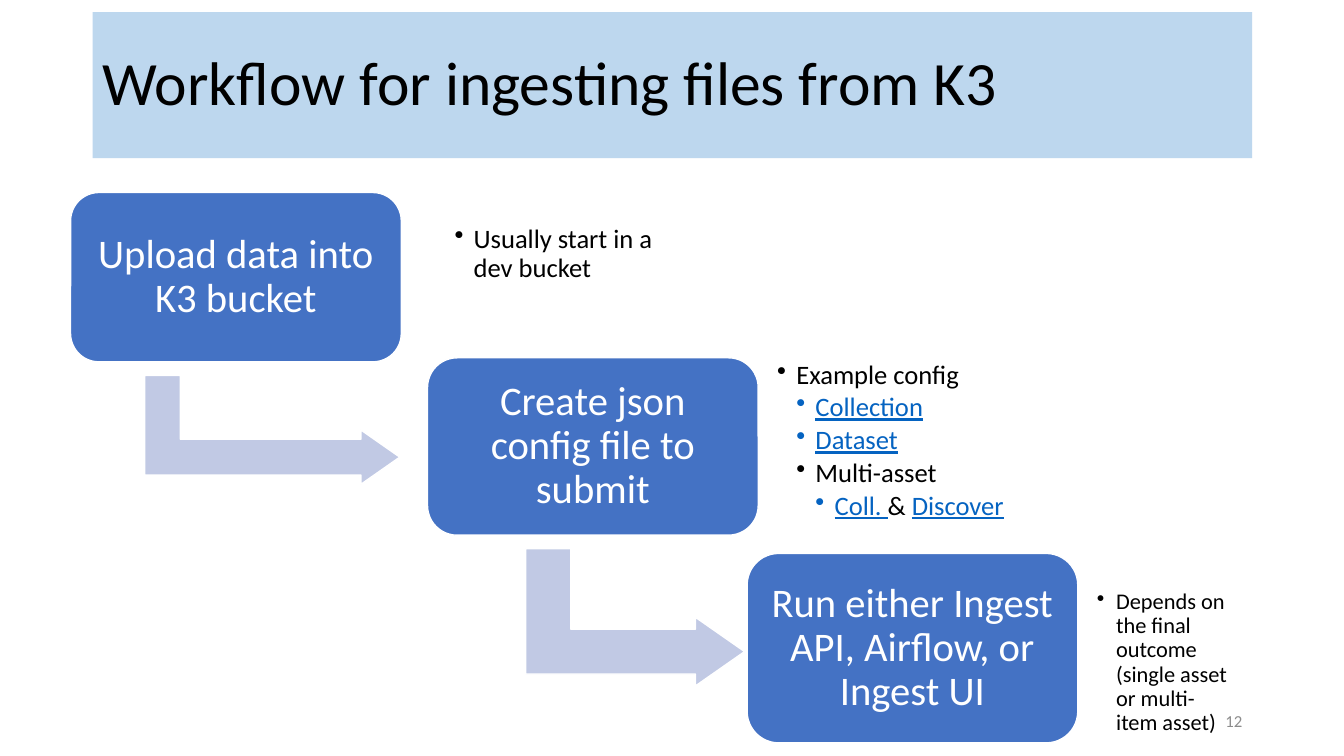
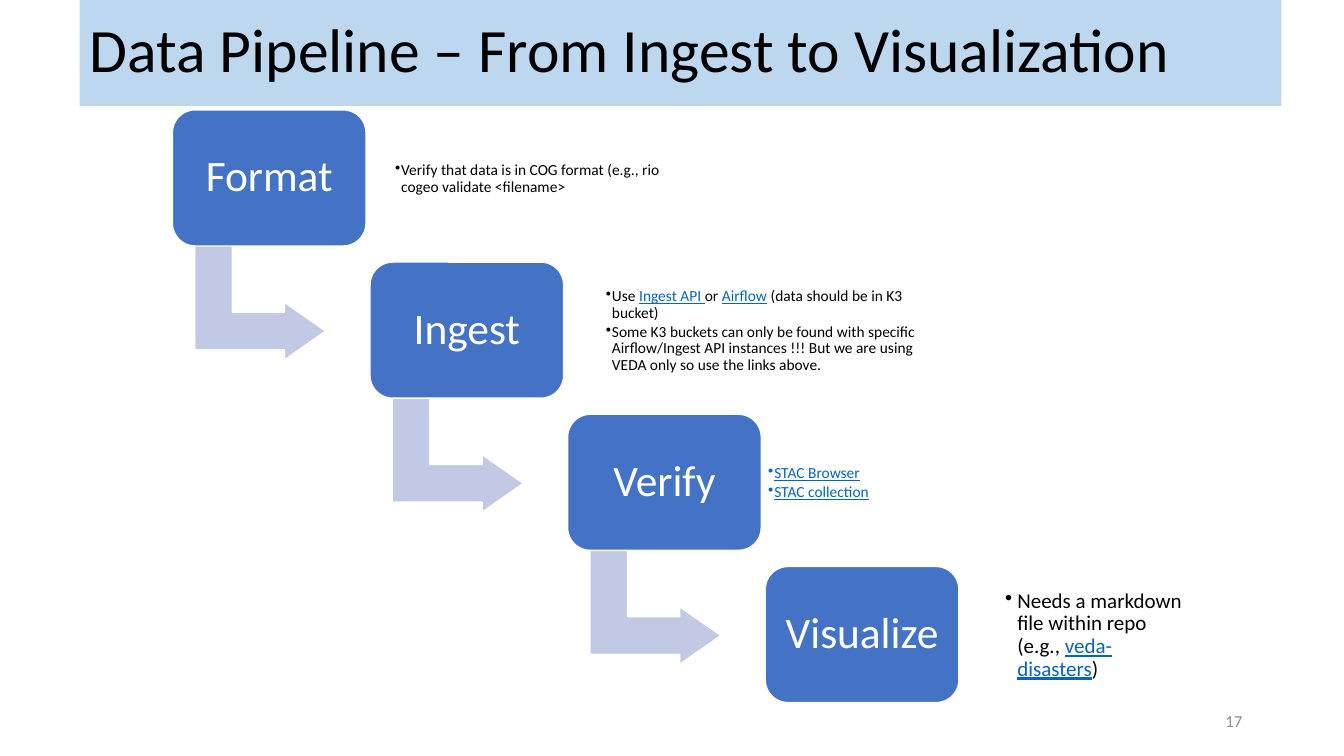
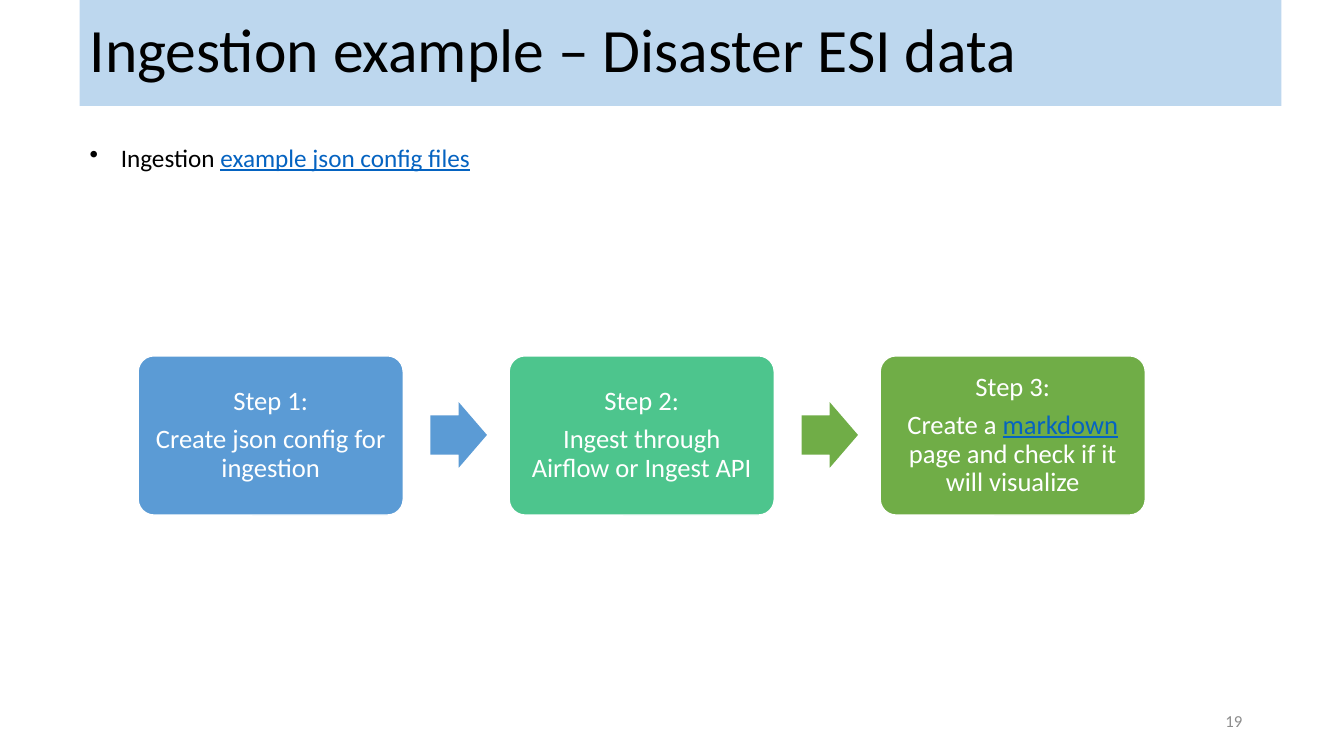
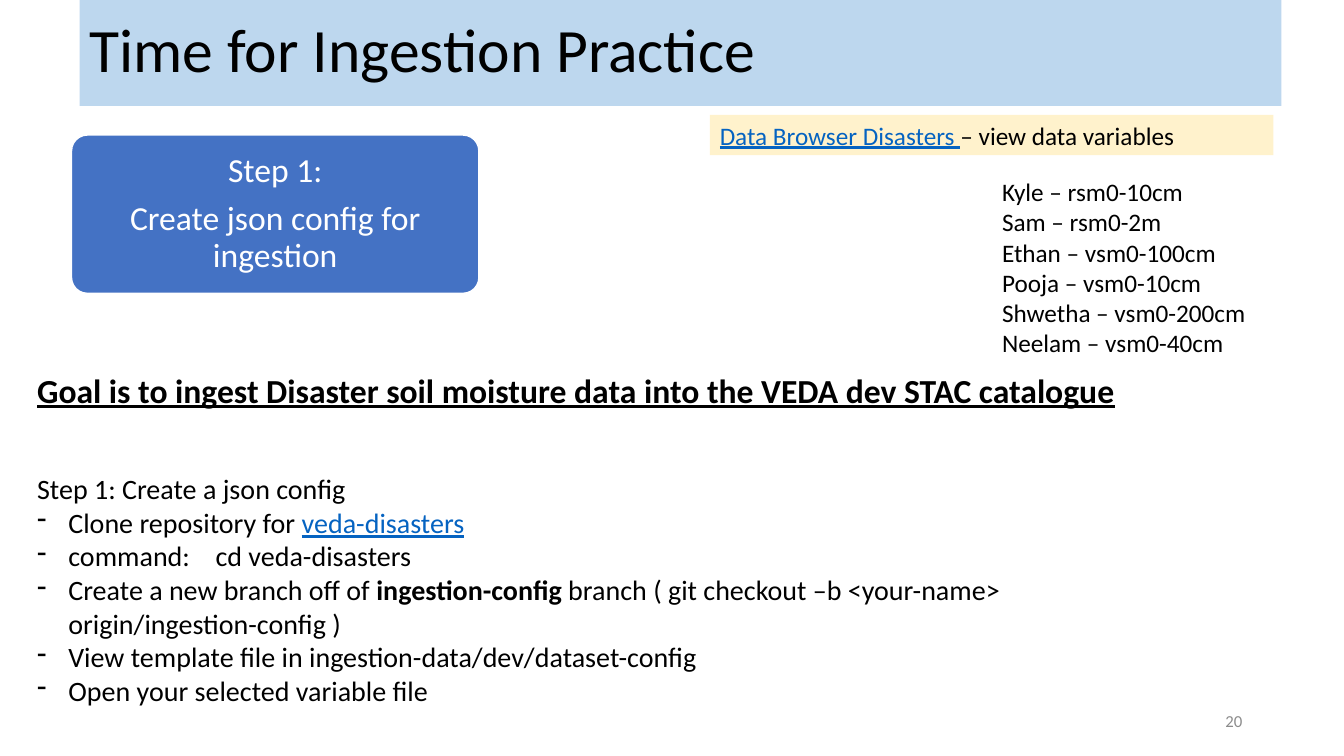
from pptx import Presentation
from pptx.dml.color import RGBColor
from pptx.enum.shapes import MSO_SHAPE
from pptx.enum.text import MSO_ANCHOR, PP_ALIGN
from pptx.oxml.ns import qn
from pptx.util import Inches, Pt
from lxml.etree import SubElement

HEX = {"band": "BDD7EE", "box": "4472C4", "bent": "C1C9E4", "white": "FFFFFF",
       "black": "000000", "link": "0563C1", "gray": "8C8C8C", "sky": "5B9BD5",
       "mint": "4DC58D", "leaf": "70AD47", "cream": "FFF2CC"}
# Run looks, named by the second item of a run
LOOK = {"link": {"underline": True}, "bold": {"bold": True},
        "goal": {"bold": True, "underline": True, "size": Pt(24)}}
# Text formats: paragraph values, spacing after as a share of the size
STAGE = {"alignment": PP_ALIGN.CENTER, "line_spacing": 0.9}
NOTE = {"alignment": PP_ALIGN.LEFT, "line_spacing": 0.9}
LEFT = {"alignment": PP_ALIGN.LEFT}
RIGHT = {"alignment": PP_ALIGN.RIGHT}
ADJ = [0.328, 0.25, 0.358]


def draw(slide, kind, box, fill=None, edge=None, adj=()):
    """Add a plain shape, or a text box when kind is None."""
    place = [Inches(n) for n in box]
    if kind is None:
        return slide.shapes.add_textbox(*place)
    shape = slide.shapes.add_shape(kind, *place)
    shape.shadow.inherit = False
    shape.fill.solid()
    shape.fill.fore_color.rgb = RGBColor.from_string(HEX[fill])
    if edge:
        shape.line.color.rgb = RGBColor.from_string(HEX[edge])
        shape.line.width = Pt(1)
    else:
        shape.line.fill.background()
    for i, val in enumerate(adj):
        shape.adjustments[i] = val
    return shape


def write(shape, paras, size, form, tint="black", pad=None, mid=True,
          after=0, step=0.31, mark="•"):
    """Fill a shape with (level, runs) paragraphs; level 0 has no bullet."""
    frame = shape.text_frame
    frame.word_wrap = True
    frame.vertical_anchor = MSO_ANCHOR.MIDDLE if mid else MSO_ANCHOR.TOP
    if pad:
        for side in ("left", "top", "right", "bottom"):
            setattr(frame, "margin_" + side, Inches(pad))
    for i, (level, runs) in enumerate(paras):
        para = frame.paragraphs[0] if i == 0 else frame.add_paragraph()
        for key, val in form.items():
            setattr(para, key, val)
        if after:
            para.space_after = Pt(round(size * after, 1))
        if level:
            props = para._p.get_or_add_pPr()
            props.set("marL", str(Inches(round(step * level, 2))))
            props.set("indent", str(-Inches(step)))
            SubElement(props, qn("a:buChar")).set("char", mark)
        for item in runs:
            text, look = (item, None) if isinstance(item, str) else item
            run = para.add_run()
            run.text = text
            font = run.font
            shade = "link" if look == "link" else tint
            font.color.rgb = RGBColor.from_string(HEX[shade])
            base = {"name": "Calibri", "size": Pt(size)}
            for key, val in {**base, **LOOK.get(look, {})}.items():
                setattr(font, key, val)


deck = Presentation()
deck.slide_width, deck.slide_height = Inches(13.33), Inches(7.5)

# Title band and page number of every slide
TOP = (0.79, 0, 11.92, 1.05)
pages = []
for title, num, band in [
        ("Workflow for ingesting files from K3", "12", (0.92, 0.12, 11.5, 1.45)),
        ("Data Pipeline – From Ingest to Visualization", "17", TOP),
        ("Ingestion example – Disaster ESI data", "19", TOP),
        ("Time for Ingestion Practice", "20", TOP)]:
    page = deck.slides.add_slide(deck.slide_layouts[6])
    write(draw(page, MSO_SHAPE.RECTANGLE, band, "band"), [(0, [title])], 44, NOTE)
    write(draw(page, None, (9.42, 6.95, 3, 0.4)), [(0, [num])], 12, RIGHT, "gray")
    pages.append(page)
flow, pipe, plan, task = pages

# Stairs: page, box, label, label size, label pad, bent arrow,
# note box, note size, note pad, note indent, note text
stairs = [
    (flow, (0.7, 1.91, 3.28, 1.68), "Upload data into K3 bucket", 29, 0.12,
     (2.16, 3, 1.08, 2.53), (4.41, 1.6, 2.38, 1.85), 19, 0.1, 0.19,
     [(1, ["Usually start in a dev bucket"])]),
    (flow, (4.24, 3.55, 3.28, 1.76), "Create json config file to submit", 29, 0.12,
     (5.62, 5.04, 1.36, 2.17), (7.61, 3.45, 2.61, 1.85), 19, 0.1, 0.19,
     [(1, ["Example config"]), (2, [("Collection", "link")]),
      (2, [("Dataset", "link")]), (2, ["Multi-asset"]),
      (3, [("Coll. ", "link"), "& ", ("Discover", "link")])]),
    (flow, (7.41, 5.49, 3.28, 1.88), "Run either Ingest API, Airflow, or Ingest UI",
     29, 0.12, None, (10.79, 5.65, 1.53, 1.85), 16, 0.09, 0.19,
     [(1, ["Depends on the final outcome (single asset or multi-item asset)"])])]

# The pipeline descends by equal steps
notes = [
    ("Format", 3.86, 2.93, 11, 0.06, 0.06,
     [(1, ["Verify that data is in COG format (e.g., rio cogeo validate <filename>"])]),
    ("Ingest", 5.95, 3.29, 11, 0.06, 0.06,
     [(1, ["Use ", ("Ingest API ", "link"), "or ", ("Airflow", "link"),
           " (data should be in K3 bucket)"]),
      (1, ["Some K3 buckets can only be found with specific Airflow/Ingest API "
           "instances !!! But we are using VEDA only so use the links above."])]),
    ("Verify", 7.56, 1.4, 11, 0.06, 0.06,
     [(1, [("STAC Browser", "link")]), (1, [("STAC collection", "link")])]),
    ("Visualize", 9.89, 2, 15, 0.08, 0.12,
     [(1, ["Needs a markdown file within repo (e.g., ",
           ("veda-disasters", "link"), ")"])])]
for i, (label, left, wide, size, pad, step, text) in enumerate(notes):
    x, y = 1.71 + 1.96 * i, 1.09 + 1.51 * i
    bent = (x + 0.3, y + 1.26, 1.14, 1.3) if i < len(notes) - 1 else None
    stairs.append((pipe, (x, y, 1.92, 1.35), label, 31, 0.13, bent,
                   (left, y + 0.14, wide, 1.09), size, pad, step, text))

for page, box, label, big, gap, bent, spot, size, pad, step, text in stairs:
    if bent:
        arrow = draw(page, MSO_SHAPE.BENT_UP_ARROW, bent, "bent", "white", ADJ)
        arrow.rotation = 90
    stage = draw(page, MSO_SHAPE.ROUNDED_RECTANGLE, box, "box", "white", [0.167])
    write(stage, [(0, [label])], big, STAGE, "white", gap, after=0.35)
    write(draw(page, None, spot), text, size, NOTE, pad=pad, after=0.15, step=step)

# Ingestion example: link line and three steps in a row
write(draw(plan, None, (0.79, 1.36, 11.47, 0.4)),
      [(1, ["Ingestion ", ("example json config files", "link")])],
      18, LEFT, mid=False)
steps = [("sky", "sky", ["Create json config for ingestion"]),
         ("mint", "leaf", ["Ingest through Airflow or Ingest API"]),
         ("leaf", None, ["Create a ", ("markdown", "link"),
                         " page and check if it will visualize"])]
for i, (fill, next_fill, runs) in enumerate(steps):
    x = 1.37 + 3.68 * i
    card = draw(plan, MSO_SHAPE.ROUNDED_RECTANGLE, (x, 3.53, 2.63, 1.58),
                fill, "white", [0.1])
    write(card, [(0, [f"Step {i + 1}:"]), (0, runs)], 19, STAGE, "white",
          0.08, after=0.35)
    if next_fill:
        draw(plan, MSO_SHAPE.RIGHT_ARROW, (x + 2.9, 3.99, 0.56, 0.65),
             next_fill, adj=[0.6, 0.5])

# Practice: goal and instructions
goal = draw(task, None, (0.27, 3.62, 11.47, 3.77))
write(goal, [
    (0, [("Goal is to ingest Disaster soil moisture data into the VEDA dev "
          "STAC catalogue", "goal")]),
    (0, ["Step 1: Create a json config"]),
    (1, ["Clone repository for ", ("veda-disasters", "link")]),
    (1, ["command:\tcd veda-disasters"]),
    (1, ["Create a new branch off of ", ("ingestion-config", "bold"),
         " branch ( git checkout –b <your-name> origin/ingestion-config )"]),
    (1, ["View template file in ingestion-data/dev/dataset-config"]),
    (1, ["Open your selected variable file"])], 20, LEFT, mid=False, mark="-")
lines = goal.text_frame.paragraphs
lines[0].space_after = Pt(44)
tabs = SubElement(lines[3]._p.get_or_add_pPr(), qn("a:tabLst"))
stop = SubElement(tabs, qn("a:tab"))
stop.set("pos", str(Inches(1.77)))
stop.set("algn", "l")

# Practice: step card, data browser strip and variables by person
card = draw(task, MSO_SHAPE.ROUNDED_RECTANGLE, (0.71, 1.34, 4.04, 1.57),
            "box", "white", [0.1])
write(card, [(0, ["Step 1:"]), (0, ["Create json config for ingestion"])],
      24, STAGE, "white", 0.1, after=0.35)
write(draw(task, MSO_SHAPE.RECTANGLE, (7.04, 1.14, 5.59, 0.4), "cream"),
      [(0, [("Data Browser Disasters ", "link"), "– view data variables"])],
      18, LEFT, mid=False)
people = ["Kyle – rsm0-10cm", "Sam – rsm0-2m", "Ethan – vsm0-100cm",
          "Pooja – vsm0-10cm", "Shwetha – vsm0-200cm", "Neelam – vsm0-40cm"]
write(draw(task, None, (9.84, 1.7, 3.4, 1.92)),
      [(0, [name]) for name in people], 18, LEFT, mid=False)

deck.save("out.pptx")
